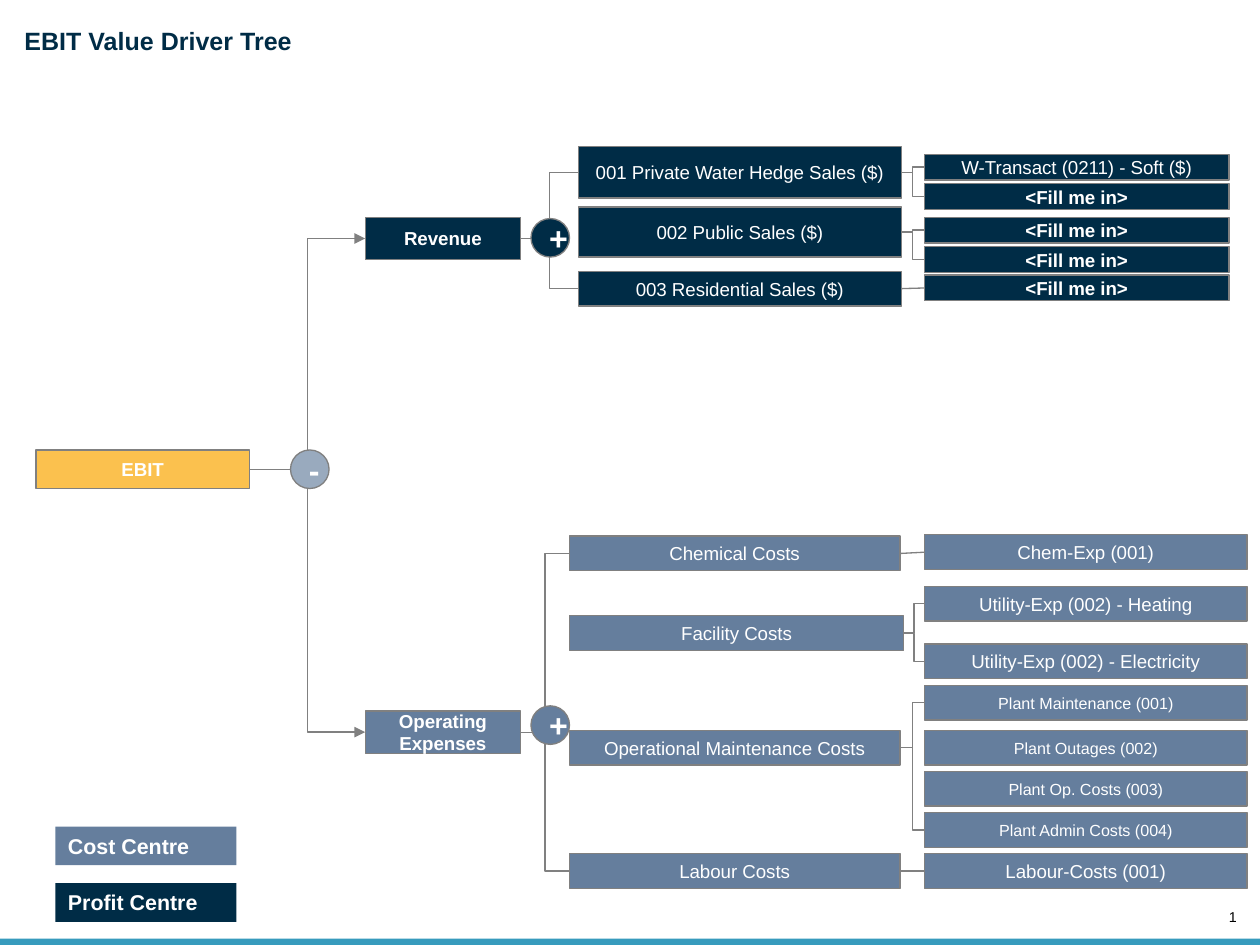
"""Build the EBIT value driver tree slide."""
from collections import namedtuple
from dataclasses import dataclass

from lxml import etree
from pptx import Presentation
from pptx.dml.color import RGBColor
from pptx.enum.shapes import MSO_CONNECTOR, MSO_SHAPE
from pptx.enum.text import MSO_ANCHOR, MSO_AUTO_SIZE, PP_ALIGN
from pptx.oxml.ns import qn
from pptx.util import Inches, Pt

RECT, OVAL = MSO_SHAPE.RECTANGLE, MSO_SHAPE.OVAL
ELBOW, STRAIGHT = MSO_CONNECTOR.ELBOW, MSO_CONNECTOR.STRAIGHT
TOP, MIDDLE, BOTTOM = MSO_ANCHOR.TOP, MSO_ANCHOR.MIDDLE, MSO_ANCHOR.BOTTOM
LEFT, CENTER, RIGHT = PP_ALIGN.LEFT, PP_ALIGN.CENTER, PP_ALIGN.RIGHT
GROW = MSO_AUTO_SIZE.SHAPE_TO_FIT_TEXT
LEFT_SITE, RIGHT_SITE = 1, 3


@dataclass(frozen=True)
class Theme:
    """Colours, font and type sizes of the slide."""
    font: str = "Arial"
    navy: str = "002C46"
    slate: str = "657E9D"
    mist: str = "99AABE"
    gold: str = "FBC14E"
    teal: str = "379BBD"
    grey: str = "808080"
    white: str = "FFFFFF"
    black: str = "000000"
    title: float = 14
    body: float = 10.5
    small: float = 9
    key: float = 12
    sign: float = 18
    page: float = 8
    rule: float = 0.75


T = Theme()
WIDTH, HEIGHT = 9.8, 7.35
DISC = 0.3
FLUSH = dict.fromkeys(
    ("margin_left", "margin_top", "margin_right", "margin_bottom"), 0)

Kind = namedtuple("Kind", "left width fill size bold")
KINDS = {
    "root": Kind(0.28, 1.66, T.gold, T.body, True),
    "gain": Kind(2.84, 1.21, T.navy, T.body, True),
    "spend": Kind(2.84, 1.21, T.slate, T.body, True),
    "sale": Kind(4.5, 2.51, T.navy, T.body, False),
    "soft": Kind(7.19, 2.37, T.navy, T.body, False),
    "blank": Kind(7.19, 2.37, T.navy, T.body, True),
    "cost": Kind(4.43, 2.57, T.slate, T.body, False),
    "wide": Kind(4.43, 2.6, T.slate, T.body, False),
    "item": Kind(7.19, 2.51, T.slate, T.body, False),
    "plant": Kind(7.19, 2.51, T.slate, T.small, False),
}

Node = namedtuple("Node", "label kind top height kids", defaults=((),))
FILL = "<Fill me in>"
SALES = (
    Node("001 Private Water\u00a0Hedge Sales ($)", "sale", 1.14, 0.4, (
        Node("W-Transact (0211) -\u00a0Soft ($)", "soft", 1.2, 0.2),
        Node(FILL, "blank", 1.43, 0.2))),
    Node("002 Public Sales ($)", "sale", 1.61, 0.39, (
        Node(FILL, "blank", 1.69, 0.2),
        Node(FILL, "blank", 1.92, 0.2))),
    Node("003 Residential Sales\u00a0($)", "sale", 2.11, 0.27, (
        Node(FILL, "blank", 2.14, 0.2),)),
)
COSTS = (
    Node("Chemical Costs", "cost", 4.17, 0.27, (
        Node("Chem-Exp (001)", "item", 4.16, 0.27),)),
    Node("Facility Costs", "wide", 4.79, 0.27, (
        Node("Utility-Exp (002) - Heating", "item", 4.56, 0.27),
        Node("Utility-Exp (002) - Electricity", "item", 5.01, 0.27))),
    Node("Operational\u00a0Maintenance Costs", "cost", 5.68, 0.27, (
        Node("Plant Maintenance (001)", "plant", 5.33, 0.27),
        Node("Plant Outages (002)", "plant", 5.68, 0.27),
        Node("Plant Op. Costs (003)", "plant", 6, 0.27),
        Node("Plant Admin Costs (004)", "plant", 6.32, 0.27))),
    Node("Labour Costs", "cost", 6.64, 0.27, (
        Node("Labour-Costs (001)", "item", 6.64, 0.27),)),
)
TREE = Node("EBIT", "root", 3.5, 0.3, (
    Node("Revenue", "gain", 1.69, 0.33, SALES),
    Node("Operating Expenses", "spend", 5.53, 0.33, COSTS)))
DISCS = (("-", 2.26, 3.5, T.mist), ("+", 4.13, 1.7, T.navy),
         ("+", 4.13, 5.49, T.slate))
KEYS = (("Cost Centre", 6.43, T.slate), ("Profit Centre", 6.87, T.navy))


def apply(obj, form):
    """Set each attribute named in form on obj."""
    for name, value in form.items():
        setattr(obj, name, value)


def write(shape, text, size, color=T.white, bold=False, align=CENTER, **form):
    """Put one formatted run into a shape and return it."""
    frame = shape.text_frame
    apply(frame, {"word_wrap": True, "vertical_anchor": MIDDLE, **form})
    para = frame.paragraphs[0]
    para.alignment = align
    run = para.add_run()
    run.text = text
    apply(run.font, {"name": T.font, "size": Pt(size), "bold": bold})
    run.font.color.rgb = RGBColor.from_string(color)
    return run


def block(slide, form, area, fill, edge=True):
    """Draw a filled shape, with a grey edge if asked."""
    shape = slide.shapes.add_shape(form, *map(Inches, area))
    shape.shadow.inherit = False
    shape.fill.solid()
    shape.fill.fore_color.rgb = RGBColor.from_string(fill)
    if edge:
        shape.line.color.rgb = RGBColor.from_string(T.grey)
        shape.line.width = Pt(T.rule)
    else:
        shape.line.fill.background()
    return shape


def link(slide, start, end, form, arrow):
    """Join the right side of start to the left side of end."""
    wire = slide.shapes.add_connector(form, 0, 0, 0, 0)
    wire.begin_connect(start, RIGHT_SITE)
    wire.end_connect(end, LEFT_SITE)
    wire.line.color.rgb = RGBColor.from_string(T.grey)
    wire.line.width = Pt(T.rule)
    props = wire.element.spPr
    if arrow:
        etree.SubElement(props.find(qn("a:ln")), qn("a:tailEnd"),
                         type="triangle")
    etree.SubElement(props, qn("a:effectLst"))


def grow(slide, node):
    """Draw a node and its branch, wired to the first and last kid."""
    kind = KINDS[node.kind]
    area = (kind.left, node.top, kind.width, node.height)
    shape = block(slide, RECT, area, kind.fill)
    write(shape, node.label, kind.size, bold=kind.bold)
    kids = [grow(slide, kid) for kid in node.kids]
    form = ELBOW if len(kids) > 1 else STRAIGHT
    for kid in kids[:1] + kids[1:][-1:]:
        link(slide, shape, kid, form, node.kind == "root")
    return shape


def head(slide, text):
    """Place and fill the title."""
    title = slide.shapes.title
    area = map(Inches, (0.19, 0.2, 9.56, 0.24))
    apply(title, dict(zip(("left", "top", "width", "height"), area)))
    write(title, text, T.title, T.navy, True, LEFT,
          vertical_anchor=TOP, auto_size=GROW, **FLUSH)


def foot(slide):
    """Draw the bottom band and the page number field."""
    block(slide, RECT, (0, HEIGHT - 0.05, WIDTH, 0.05), T.teal, False)
    box = slide.shapes.add_textbox(*map(Inches, (9.48, 7.07, 0.14, 0.13)))
    run = write(box, "1", T.page, T.black, align=RIGHT, word_wrap=False,
                vertical_anchor=BOTTOM, auto_size=GROW, **FLUSH)
    field = run._r
    field.tag = qn("a:fld")
    field.set("id", "{B6F15528-21DE-4FAA-801E-634DDDAF4B2B}")
    field.set("type", "slidenum")


def main():
    """Build and save the slide."""
    deck = Presentation()
    apply(deck, {"slide_width": Inches(WIDTH), "slide_height": Inches(HEIGHT)})
    slide = deck.slides.add_slide(deck.slide_layouts[5])
    foot(slide)
    head(slide, "EBIT Value Driver Tree")
    grow(slide, TREE)
    for sign, left, top, fill in DISCS:
        disc = block(slide, OVAL, (left, top, DISC, DISC), fill)
        write(disc, sign, T.sign, bold=True)
    for label, top, fill in KEYS:
        key = block(slide, RECT, (0.43, top, 1.41, 0.3), fill, False)
        write(key, label, T.key, bold=True, align=LEFT,
              vertical_anchor=TOP, auto_size=GROW)
    deck.save("out.pptx")


main()
